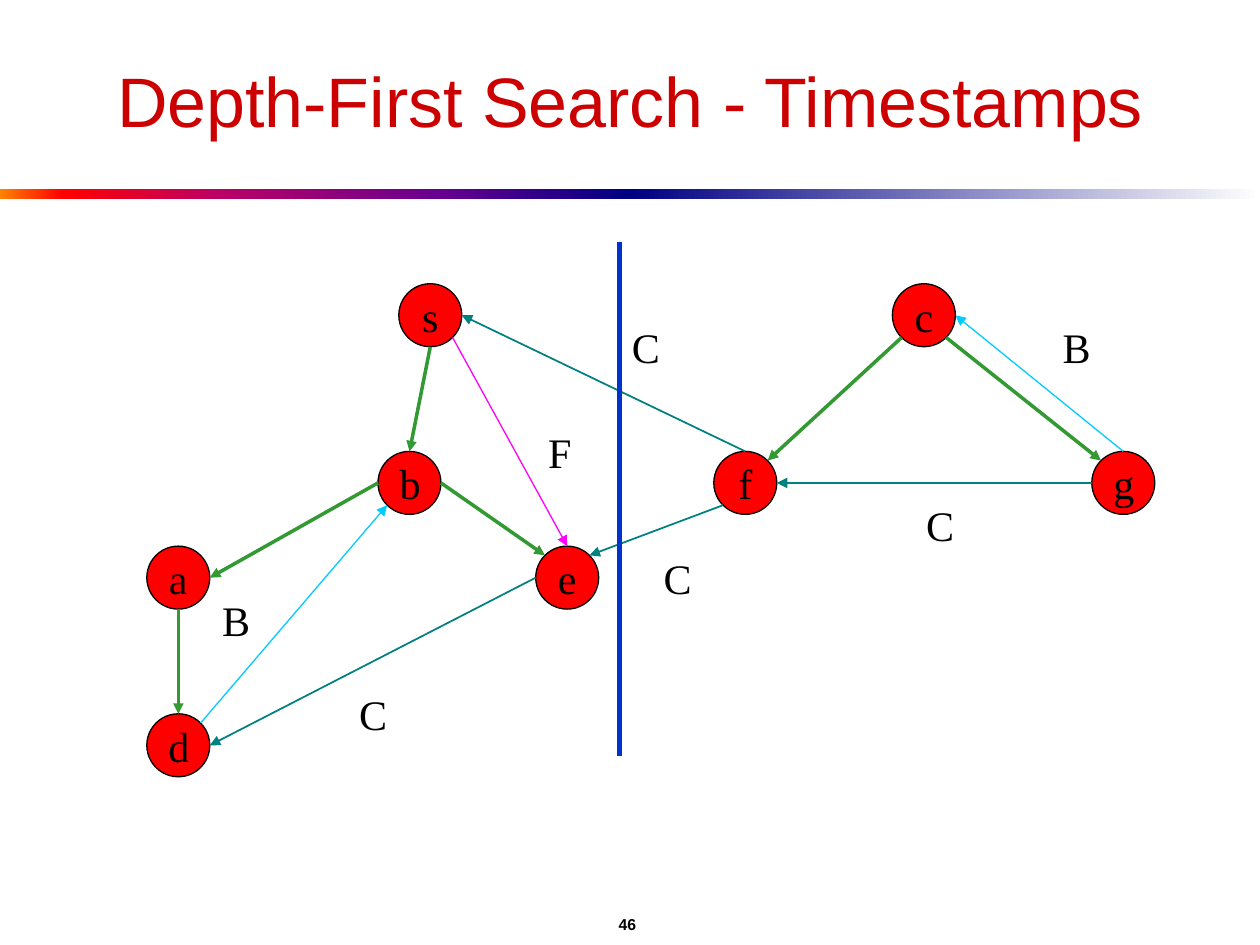
import math

import pptx
import pptx.util
from lxml import etree
from pptx.dml.color import RGBColor
from pptx.enum.shapes import MSO_CONNECTOR, MSO_SHAPE
from pptx.enum.text import MSO_ANCHOR, PP_ALIGN
from pptx.oxml.ns import qn
from pptx.util import Cm, Pt

BLACK = RGBColor(0x00, 0x00, 0x00)
TITLE_RED = RGBColor(0xCC, 0x00, 0x00)
NODE_RED = RGBColor(0xFF, 0x00, 0x00)
GREEN = RGBColor(0x33, 0x99, 0x33)
TEAL = RGBColor(0x00, 0x80, 0x80)
SKY = RGBColor(0x00, 0xCC, 0xFF)
MAGENTA = RGBColor(0xFF, 0x00, 0xFF)
BLUE = RGBColor(0x00, 0x33, 0xCC)

# Content; all lengths in centimetres
TITLE = "Depth-First Search - Timestamps"
PAGE_NUMBER = "46"
NODE_SIZE = 1.27
NODES = {  # name: left, top
    "a": (2.96, 11.01), "e": (10.8, 11.01), "s": (8.04, 5.72),
    "b": (7.62, 9.1), "f": (14.39, 9.1), "d": (2.96, 14.39),
    "c": (17.99, 5.72), "g": (22.01, 9.1),
}
EDGE_STYLES = {  # kind: colour, width in points
    "tree": (GREEN, 2), "cross": (TEAL, 1),
    "back": (SKY, 0.75), "forward": (MAGENTA, 0.75),
}
EDGES = [  # kind, start node, side, end node, side
    ("tree", "b", "W", "a", "E"),
    ("tree", "a", "S", "d", "N"),
    ("tree", "b", "E", "e", "NW"),
    ("tree", "s", "S", "b", "N"),
    ("tree", "c", "SE", "g", "NW"),
    ("tree", "c", "SW", "f", "NE"),
    ("cross", "e", "W", "d", "E"),
    ("cross", "f", "SW", "e", "NE"),
    ("cross", "f", "N", "s", "E"),
    ("cross", "g", "W", "f", "E"),
    ("back", "d", "NE", "b", "SW"),
    ("back", "g", "N", "c", "E"),
    ("forward", "s", "SE", "e", "N"),
]
EDGE_LABELS = [  # letter, left, top
    ("B", 21.17, 6.35), ("F", 10.8, 8.47), ("C", 6.99, 13.76),
    ("C", 18.42, 9.95), ("C", 13.13, 11.01), ("C", 12.49, 6.35),
    ("B", 4.23, 11.85),
]
RULE_HALVES = [  # gradient stops: percent, colour
    [(0, "FF8200"), (10, "FF0000"), (35, "BA0066"), (70, "66008F"), (100, "000082")],
    [(0, "000082"), (100, "FFFFFF")],
]
SIDES = ["E", "SE", "S", "SW", "W", "NW", "N", "NE"]  # clockwise, 45 degrees apart


def write(shape, text, size, font_name, color=BLACK, bold=False,
          align=PP_ALIGN.CENTER, anchor=MSO_ANCHOR.MIDDLE):
    frame = shape.text_frame
    frame.word_wrap = True
    frame.vertical_anchor = anchor
    paragraph = frame.paragraphs[0]
    paragraph.text = text
    paragraph.alignment = align
    paragraph.font.size = Pt(size)
    paragraph.font.name = font_name
    paragraph.font.bold = bold
    paragraph.font.color.rgb = color


def set_gradient(shape, stops):
    shape.fill.gradient()
    shape.fill.gradient_angle = 0
    stop_list = shape.element.spPr.find(qn("a:gradFill")).find(qn("a:gsLst"))
    for old_stop in list(stop_list):
        stop_list.remove(old_stop)
    for percent, color in stops:
        stop = etree.SubElement(stop_list, qn("a:gs"), pos=str(percent * 1000))
        etree.SubElement(stop, qn("a:srgbClr"), val=color)


def add_line(shapes, start, end, color, width, arrow=False):
    line = shapes.add_connector(MSO_CONNECTOR.STRAIGHT,
                                *(Cm(value) for value in (*start, *end)))
    line.line.color.rgb = color
    line.line.width = Pt(width)
    if arrow:
        etree.SubElement(line.line._get_or_add_ln(), qn("a:tailEnd"), type="triangle")
    etree.SubElement(line.element.spPr, qn("a:effectLst"))


def rim_point(node, side):
    left, top = NODES[node]
    angle = math.radians(45 * SIDES.index(side))
    radius = NODE_SIZE / 2
    return (left + radius * (1 + math.cos(angle)),
            top + radius * (1 + math.sin(angle)))


def main():
    deck = pptx.Presentation()
    deck.slide_width, deck.slide_height = Cm(25.4), Cm(19.05)
    slide = deck.slides.add_slide(deck.slide_layouts[5])
    shapes = slide.shapes

    # Title
    title = shapes.title
    title.left, title.top, title.width, title.height = Cm(1.27), Cm(0.64), Cm(22.86), Cm(2.74)
    write(title, TITLE, 40, "Arial", TITLE_RED)

    # Gradient rule under the title
    for index, stops in enumerate(RULE_HALVES):
        half = shapes.add_shape(MSO_SHAPE.RECTANGLE, Cm(12.7 * index), Cm(3.81),
                                Cm(12.7), Cm(0.2))
        half.shadow.inherit = False
        half.line.fill.background()
        set_gradient(half, stops)

    # Graph nodes
    for name, (left, top) in NODES.items():
        node = shapes.add_shape(MSO_SHAPE.FLOWCHART_CONNECTOR, Cm(left), Cm(top),
                                Cm(NODE_SIZE), Cm(NODE_SIZE))
        node.shadow.inherit = False
        node.fill.solid()
        node.fill.fore_color.rgb = NODE_RED
        node.line.color.rgb = BLACK
        node.line.width = Pt(0.75)
        write(node, name, 24, "Times New Roman")

    # Graph edges
    for kind, start, start_side, end, end_side in EDGES:
        add_line(shapes, rim_point(start, start_side), rim_point(end, end_side),
                 *EDGE_STYLES[kind], arrow=True)

    # Edge labels
    for letter, left, top in EDGE_LABELS:
        label = shapes.add_textbox(Cm(left), Cm(top), Cm(1.07), Cm(1.27))
        write(label, letter, 24, "Times New Roman",
              align=PP_ALIGN.LEFT, anchor=MSO_ANCHOR.TOP)

    # Divider between the two trees
    add_line(shapes, (12.49, 4.87), (12.49, 15.24), BLUE, 3)

    # Page number
    page_number = shapes.add_textbox(Cm(1.22), Cm(18.21), Cm(22.86), Cm(0.84))
    write(page_number, PAGE_NUMBER, 9, "Arial", bold=True)

    deck.save("out.pptx")


if __name__ == "__main__":
    main()
